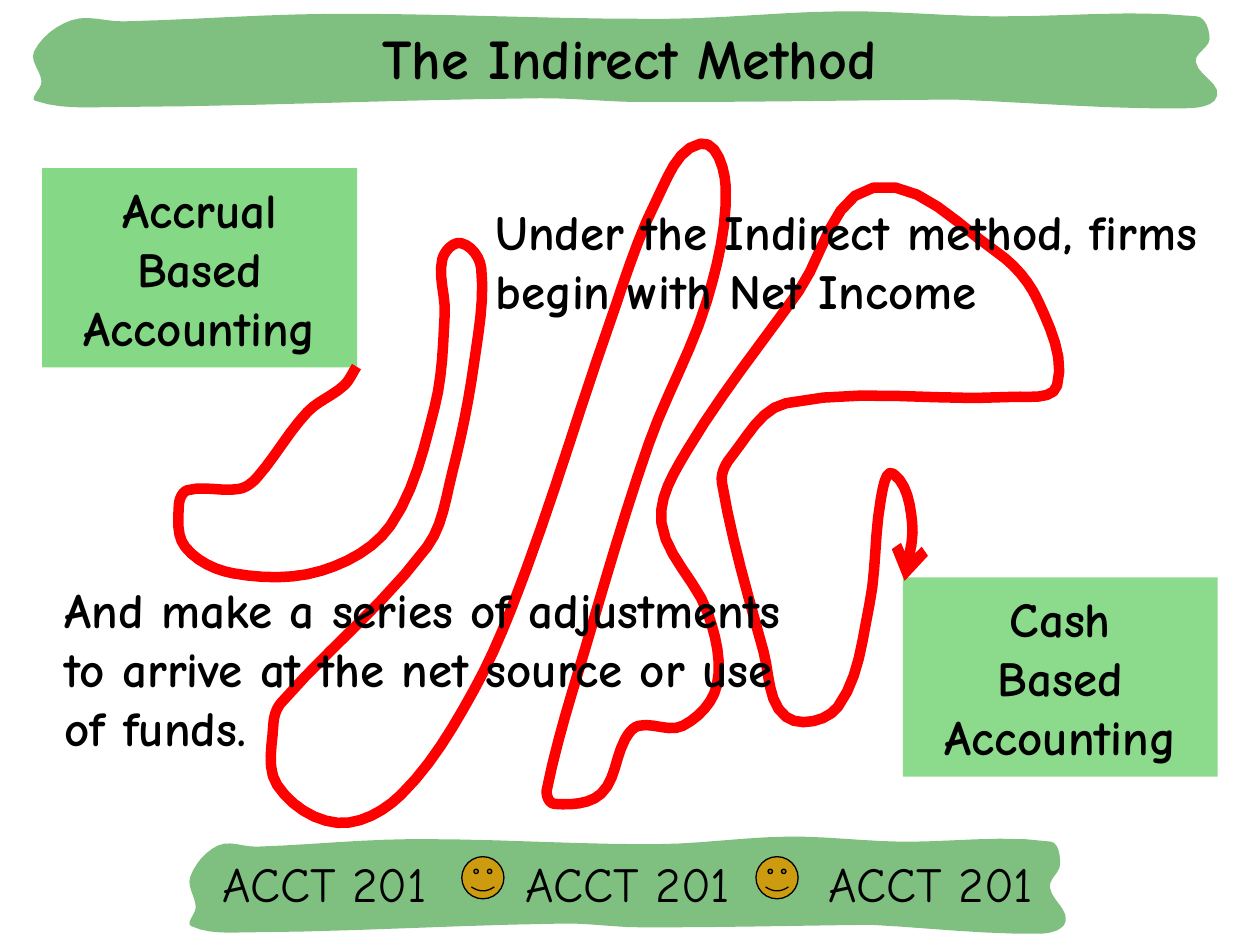
"""Build the Indirect Method slide, with a winding path from accrual to cash."""
import pptx
import pptx.dml.color
import pptx.enum.shapes
import pptx.enum.text
import pptx.util
from lxml import etree
from pptx.oxml.ns import qn

Cm = pptx.util.Cm
Pt = pptx.util.Pt
RGB = pptx.dml.color.RGBColor
KIND = pptx.enum.shapes.MSO_SHAPE
ALIGN = pptx.enum.text.PP_ALIGN
ANCHOR = pptx.enum.text.MSO_ANCHOR

BLACK = RGB(0, 0, 0)
RED = RGB(0xFF, 0, 0)
GREEN = RGB(0, 0x80, 0)
LIME = RGB(0, 0xAE, 0)
GOLD = RGB(0xCC, 0x9B, 0x10)

RIBBON = [
    (757, 79), (508, 81), (429, 78), (90, 85), (28, 80), (33, 65), (27, 41),
    (57, 16), (98, 17), (265, 11), (528, 15), (668, 9), (787, 13), (950, 13),
    (960, 31), (949, 49), (966, 76), (940, 86), (757, 79)]
TRAIL = [
    (283, 291), (273, 306), (244, 327), (204, 379), (190, 388), (149, 389),
    (142, 401), (147, 434), (185, 455), (255, 453), (310, 417), (345, 323),
    (353, 249), (351, 206), (366, 193), (382, 213), (376, 290), (359, 375),
    (339, 434), (223, 558), (217, 575), (220, 623), (268, 653), (318, 631),
    (376, 548), (418, 451), (483, 259), (521, 159), (556, 114), (576, 148),
    (561, 239), (515, 352), (465, 513), (434, 627), (440, 638), (477, 630),
    (496, 587), (507, 576), (542, 576), (569, 544), (562, 487), (525, 415),
    (545, 358), (634, 231), (693, 149), (791, 200), (824, 239), (839, 306),
    (803, 315), (624, 320), (580, 363), (573, 383), (606, 517), (624, 569),
    (665, 561), (690, 480), (699, 397), (709, 376), (724, 415), (718, 461)]


def curve(shapes, pairs, close, ratio=1, left=0, top=0):
    pts = [complex(left + x * ratio, top + y) for x, y in pairs]
    ways = []
    for n in range(len(pts)):
        way = pts[min(n + 1, len(pts) - 1)] - pts[max(n - 1, 0)]
        ways.append(way / abs(way))
    spots = [pts[0]]
    for a, b, u, v in zip(pts, pts[1:], ways, ways[1:]):
        reach = abs(b - a) / 3
        c, d = a + u * reach, b - v * reach
        for step in range(1, 7):
            t = step / 6
            s = 1 - t
            spots.append(a * s**3 + 3 * c * s * s * t + 3 * d * s * t * t + b * t**3)
    spots = [(Cm(p.real * 0.0254), Cm(p.imag * 0.0254)) for p in spots]
    pen = shapes.build_freeform(*spots[0], scale=1)
    pen.add_line_segments(spots[1:], close=close)
    form = pen.convert_to_shape()
    form.shadow.inherit = False
    return form


def write(shape, lines, size, bold=True, wrap=False, align=ALIGN.CENTER,
          anchor=ANCHOR.MIDDLE, tabs=()):
    frame = shape.text_frame
    look = {"word_wrap": wrap, "vertical_anchor": anchor,
            "margin_left": Cm(0.25), "margin_right": Cm(0.25),
            "margin_top": Cm(0.13), "margin_bottom": Cm(0.13)}
    for key, val in look.items():
        setattr(frame, key, val)
    frame.text = "\n".join(lines)
    face = {"name": "Comic Neue", "size": Pt(size), "bold": bold}
    for para in frame.paragraphs:
        para.alignment = align
        if tabs:
            stops = etree.SubElement(para._p.get_or_add_pPr(), qn("a:tabLst"))
            for pos in tabs:
                etree.SubElement(stops, qn("a:tab"), pos=str(Cm(pos)), algn="l")
        for run in para.runs:
            for key, val in face.items():
                setattr(run.font, key, val)
            run.font.color.rgb = BLACK


deck = pptx.Presentation()
deck.slide_width, deck.slide_height = Cm(25.4), Cm(19.05)
slide = deck.slides.add_slide(deck.slide_layouts[6])
shapes = slide.shapes

head = curve(shapes, RIBBON, True)
title = shapes.add_textbox(Cm(4.23), Cm(0.42), Cm(16.93), Cm(1.48))
write(title, ["The Indirect Method"], 32)

foot = shapes.add_group_shape().shapes
base = curve(foot, RIBBON, True, 0.74, 131, 655)
label = foot.add_textbox(Cm(4.23), Cm(17.06), Cm(16.93), Cm(1.48))
write(label, ["\t".join(["ACCT 201"] * 3)], 28, bold=False, wrap=True,
      align=ALIGN.LEFT, tabs=(6.11, 12.22))
label.text_frame.margin_right = 0
for left in (9.31, 15.24):
    smile = foot.add_shape(KIND.SMILEY_FACE, Cm(left), Cm(17.27), Cm(0.85), Cm(0.85))
    smile.shadow.inherit = False
    smile.fill.solid()
    smile.fill.fore_color.rgb = GOLD
    smile.line.color.rgb = BLACK
    smile.line.width = Pt(0.75)

tints = [(head, GREEN, 50), (base, GREEN, 50)]
for word, left, top, alpha in (("Accrual", 0.85, 3.39, 48), ("Cash", 18.2, 11.64, 45)):
    box = shapes.add_shape(KIND.RECTANGLE, Cm(left), Cm(top), Cm(6.35), Cm(4.02))
    box.shadow.inherit = False
    write(box, [word, "Based", "Accounting"], 28)
    tints.append((box, LIME, alpha))

for form, tone, alpha in tints:
    form.fill.solid()
    form.fill.fore_color.rgb = tone
    form.line.fill.background()
    color = form._element.spPr.find(qn("a:solidFill"))[0]
    etree.SubElement(color, qn("a:alpha"), val=str(alpha * 1000))

trail = curve(shapes, TRAIL, False)
trail.fill.background()
trail.line.color.rgb = RED
trail.line.width = Pt(6)
stroke = trail._element.spPr.find(qn("a:ln"))
etree.SubElement(stroke, qn("a:round"))
etree.SubElement(stroke, qn("a:tailEnd"), type="arrow")

notes = [
    ("Under the Indirect method, firms begin with Net Income", 9.74, 3.94, 2.62),
    ("And make a series of adjustments to arrive at the net source or use of funds.",
     1.06, 11.56, 3.81)]
for text, left, top, high in notes:
    note = shapes.add_textbox(Cm(left), Cm(top), Cm(15.24), Cm(high))
    write(note, [text], 28, wrap=True, align=ALIGN.LEFT, anchor=ANCHOR.TOP)

deck.save("out.pptx")
